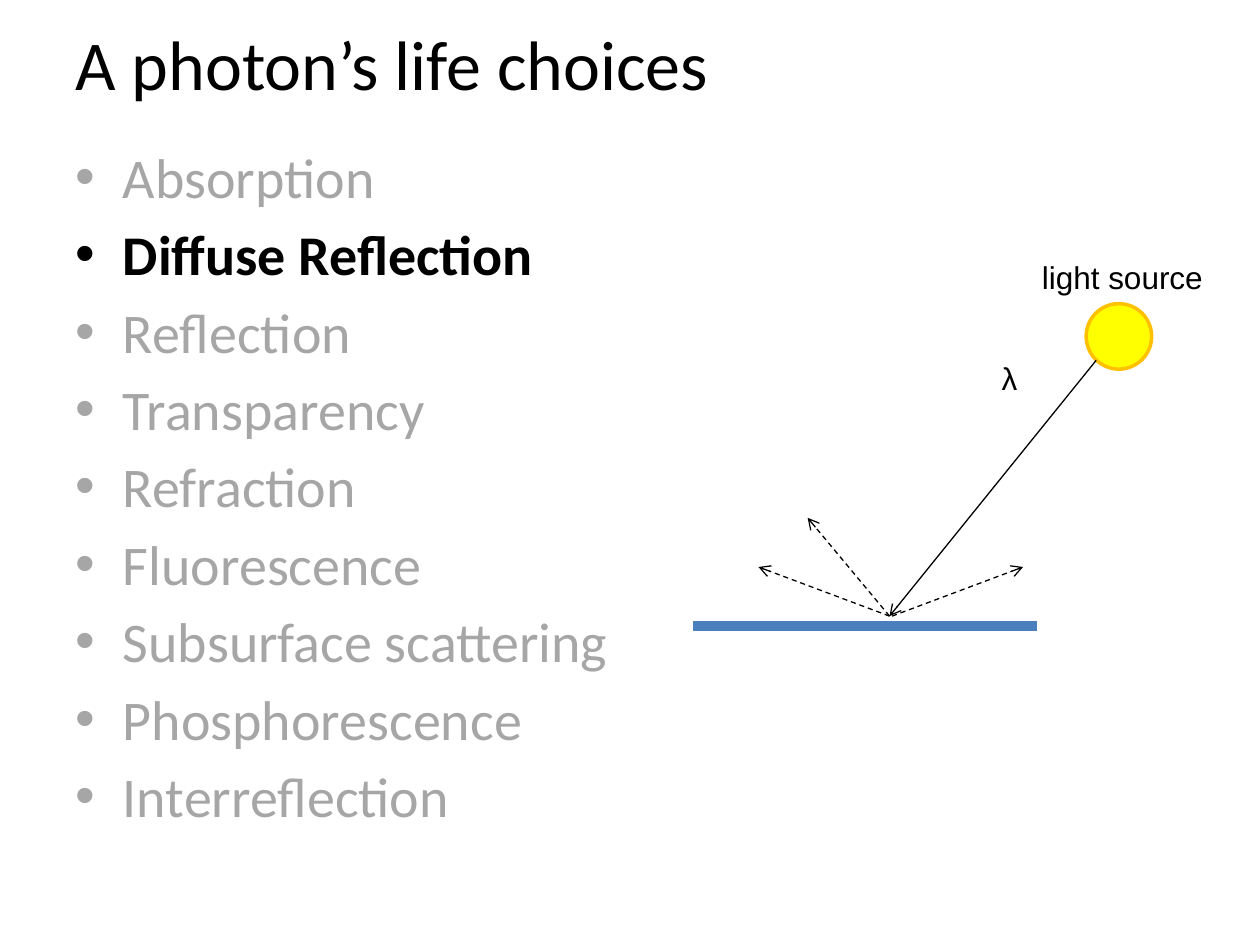
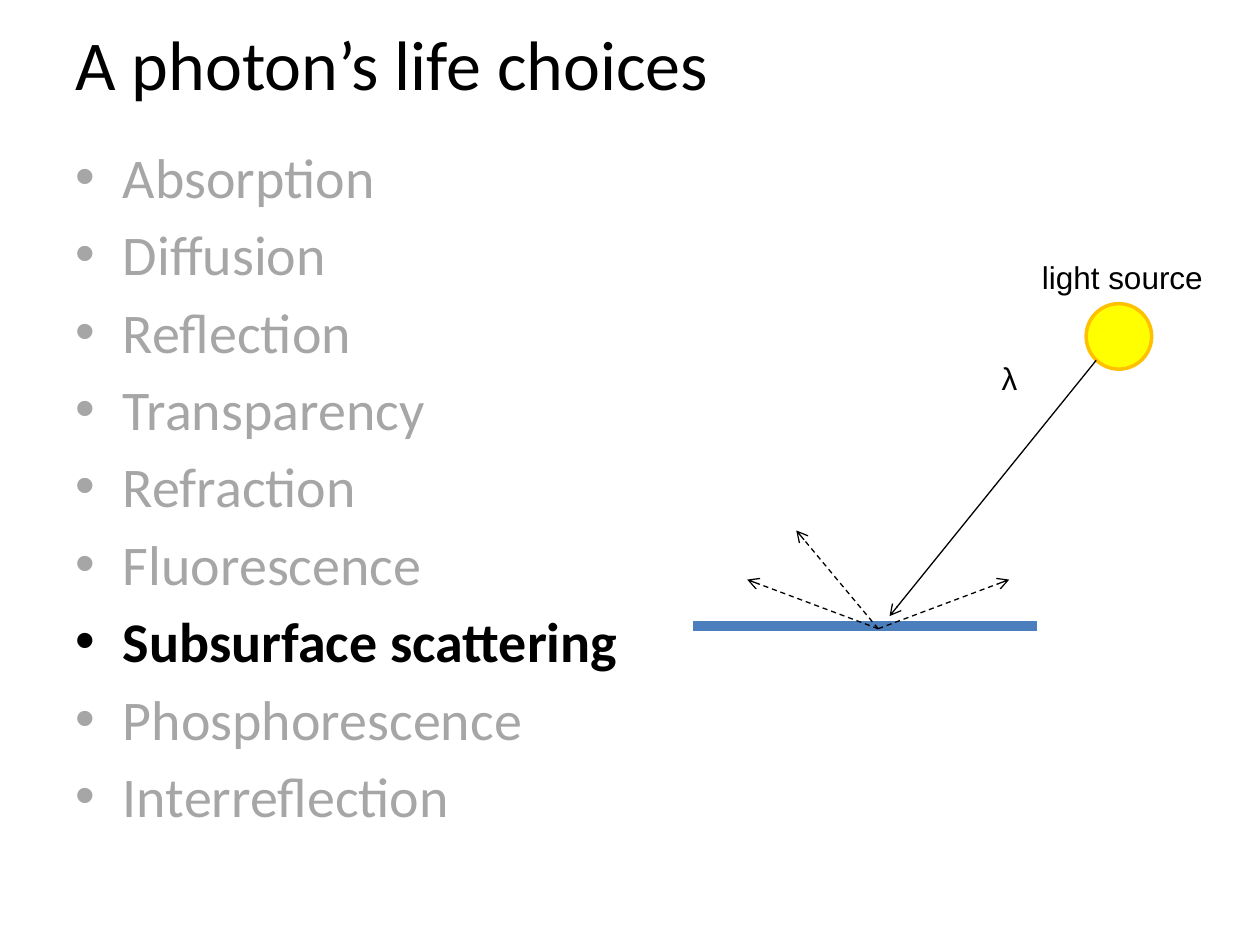
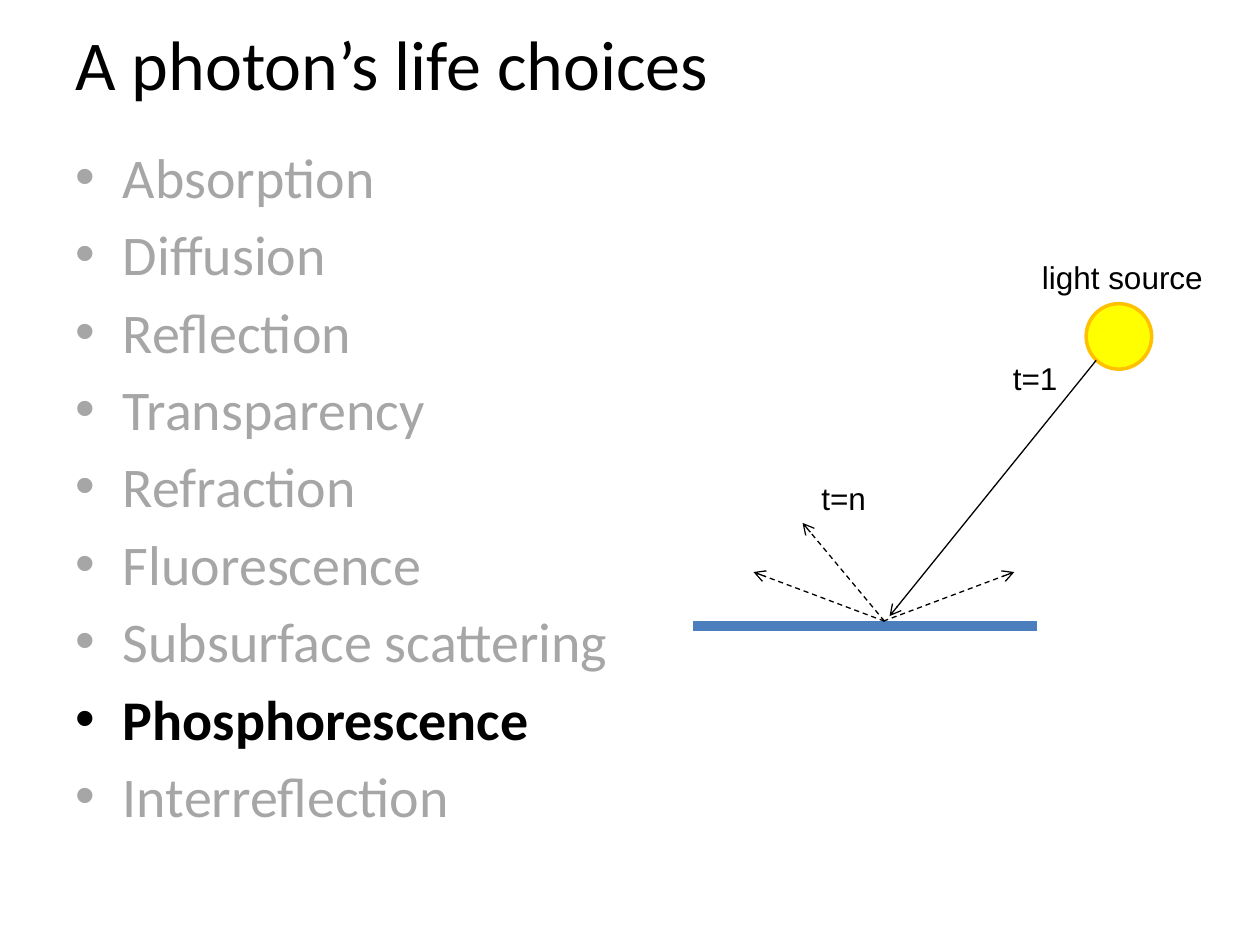
import dataclasses

import pptx
import pptx.dml.color
import pptx.enum.dml
import pptx.enum.shapes
import pptx.enum.text
import pptx.oxml.ns
import pptx.util
from lxml import etree

COLUMNS, ROWS = 100, 75


@dataclasses.dataclass(frozen=True)
class Theme:
    ink: str = "000000"
    muted: str = "A6A6A6"
    surface: str = "4B7EBC"
    sun: str = "FFFF00"
    sun_edge: str = "FFC000"
    heading_font: str = "Calibri"
    label_font: str = "Arial"
    title_size: float = 40
    list_size: float = 32
    label_size: float = 18
    list_gap: float = 5.8
    ray_width: float = 0.75
    edge_width: float = 2
    surface_width: float = 6


def color(value):
    return pptx.dml.color.RGBColor.from_string(value)


def set_attributes(target, values):
    for name, value in values.items():
        setattr(target, name, value)


class Deck:
    """Holds the theme and the slide being drawn; lengths are grid columns and rows."""

    def __init__(self, theme):
        self.theme = theme
        self.presentation = pptx.Presentation()
        set_attributes(self.presentation, {
            "slide_width": pptx.util.Inches(10),
            "slide_height": pptx.util.Inches(7.5),
        })
        self.slide = None

    def x(self, columns):
        return round(self.presentation.slide_width * columns / COLUMNS)

    def y(self, rows):
        return round(self.presentation.slide_height * rows / ROWS)

    def box(self, left, top, width, height):
        return self.x(left), self.y(top), self.x(width), self.y(height)

    def place(self, shape, *box):
        set_attributes(shape, dict(zip(("left", "top", "width", "height"), self.box(*box))))

    def add_text(self, paragraph, text, font, size, ink, bold=False):
        run = paragraph.add_run()
        run.text = text
        set_attributes(run.font, {"name": font, "size": pptx.util.Pt(size), "bold": bold})
        run.font.color.rgb = color(ink)

    def add_slide(self):
        layout = self.presentation.slide_layouts.get_by_name("Title and Content")
        self.slide = self.presentation.slides.add_slide(layout)

    def title(self, text):
        shape = self.slide.shapes.title
        self.place(shape, 5, 0, 90, 10)
        set_attributes(shape.text_frame, {
            "vertical_anchor": pptx.enum.text.MSO_ANCHOR.MIDDLE,
            "auto_size": pptx.enum.text.MSO_AUTO_SIZE.NONE,
        })
        paragraph = shape.text_frame.paragraphs[0]
        paragraph.alignment = pptx.enum.text.PP_ALIGN.LEFT
        self.add_text(paragraph, text, self.theme.heading_font, self.theme.title_size,
                      self.theme.ink)

    def choices(self, items, chosen):
        """Fill the body list, with every item but the chosen one greyed."""
        shape = self.slide.placeholders[1]
        self.place(shape, 5, 10.8, 90, 56.2)
        frame = shape.text_frame
        frame.auto_size = pptx.enum.text.MSO_AUTO_SIZE.NONE
        for index, item in enumerate(items):
            paragraph = frame.add_paragraph() if index else frame.paragraphs[0]
            paragraph.space_before = pptx.util.Pt(self.theme.list_gap if index else 0)
            is_chosen = item == chosen
            self.add_text(paragraph, item, self.theme.heading_font, self.theme.list_size,
                          self.theme.ink if is_chosen else self.theme.muted, is_chosen)

    def label(self, text, box, wrap=False):
        frame = self.slide.shapes.add_textbox(*self.box(*box)).text_frame
        set_attributes(frame, {
            "word_wrap": wrap,
            "auto_size": pptx.enum.text.MSO_AUTO_SIZE.SHAPE_TO_FIT_TEXT,
        })
        self.add_text(frame.paragraphs[0], text, self.theme.label_font,
                      self.theme.label_size, self.theme.ink)

    def line(self, start, end, ink, width):
        connector = self.slide.shapes.add_connector(
            pptx.enum.shapes.MSO_CONNECTOR.STRAIGHT,
            self.x(start[0]), self.y(start[1]), self.x(end[0]), self.y(end[1]))
        connector.line.color.rgb = color(ink)
        connector.line.width = pptx.util.Pt(width)
        properties = connector._element.spPr
        etree.SubElement(properties, pptx.oxml.ns.qn("a:effectLst"))
        return connector

    def ray(self, start, end, dashed=False):
        connector = self.line(start, end, self.theme.ink, self.theme.ray_width)
        if dashed:
            connector.line.dash_style = pptx.enum.dml.MSO_LINE.DASH
        outline = connector._element.spPr.find(pptx.oxml.ns.qn("a:ln"))
        etree.SubElement(outline, pptx.oxml.ns.qn("a:tailEnd"), type="arrow")

    def light_source(self, box):
        sun = self.slide.shapes.add_shape(pptx.enum.shapes.MSO_SHAPE.OVAL, *self.box(*box))
        sun.shadow.inherit = False
        sun.fill.solid()
        sun.fill.fore_color.rgb = color(self.theme.sun)
        sun.line.color.rgb = color(self.theme.sun_edge)
        sun.line.width = pptx.util.Pt(self.theme.edge_width)

    def scene(self, incoming_label, incoming_box):
        """Draw the surface and the lit ray that reaches it."""
        self.line((55, 49.7), (82.3, 49.7), self.theme.surface, self.theme.surface_width)
        self.light_source((86.2, 24.1, 5.2, 5.2))
        self.ray((87, 28.6), (70.6, 48.9))
        self.label(incoming_label, incoming_box)
        self.label("light source", (81.7, 20, 15, 4.2), wrap=True)

    def scatter(self, left_start, right_start, row):
        """Send two dashed rays up to the left and one to the right."""
        for column, across, rise in ((left_start, -6.5, 7.8),
                                     (left_start, -10.4, 3.9),
                                     (right_start, 10.4, 3.9)):
            self.ray((column, row), (column + across, row - rise), dashed=True)


TITLE = "A photon’s life choices"
CHOICES = ("Absorption", "Diffusion", "Reflection", "Transparency", "Refraction",
           "Fluorescence", "Subsurface scattering", "Phosphorescence", "Interreflection")
DIFFUSE_CHOICES = ("Absorption", "Diffuse Reflection") + CHOICES[2:]
WAVELENGTH = ("λ", (78.5, 28, 5.1, 6.3))
FIRST_TIME = ("t=1", (79.4, 28, 5.6, 4))
LATER_TIME = ("t=n", (64.2, 37.5, 5.6, 4))

SLIDES = (
    (DIFFUSE_CHOICES, "Diffuse Reflection", WAVELENGTH, (70.6, 70.8, 48.9), None),
    (CHOICES, "Subsurface scattering", WAVELENGTH, (69.7, 69.7, 49.9), None),
    (CHOICES, "Phosphorescence", FIRST_TIME, (70.2, 70.1, 49.3), LATER_TIME),
)


def main():
    deck = Deck(Theme())
    for items, chosen, incoming, scatter_start, outgoing in SLIDES:
        deck.add_slide()
        deck.title(TITLE)
        deck.choices(items, chosen)
        deck.scene(*incoming)
        deck.scatter(*scatter_start)
        if outgoing:
            deck.label(*outgoing)
    deck.presentation.save("out.pptx")


if __name__ == "__main__":
    main()
